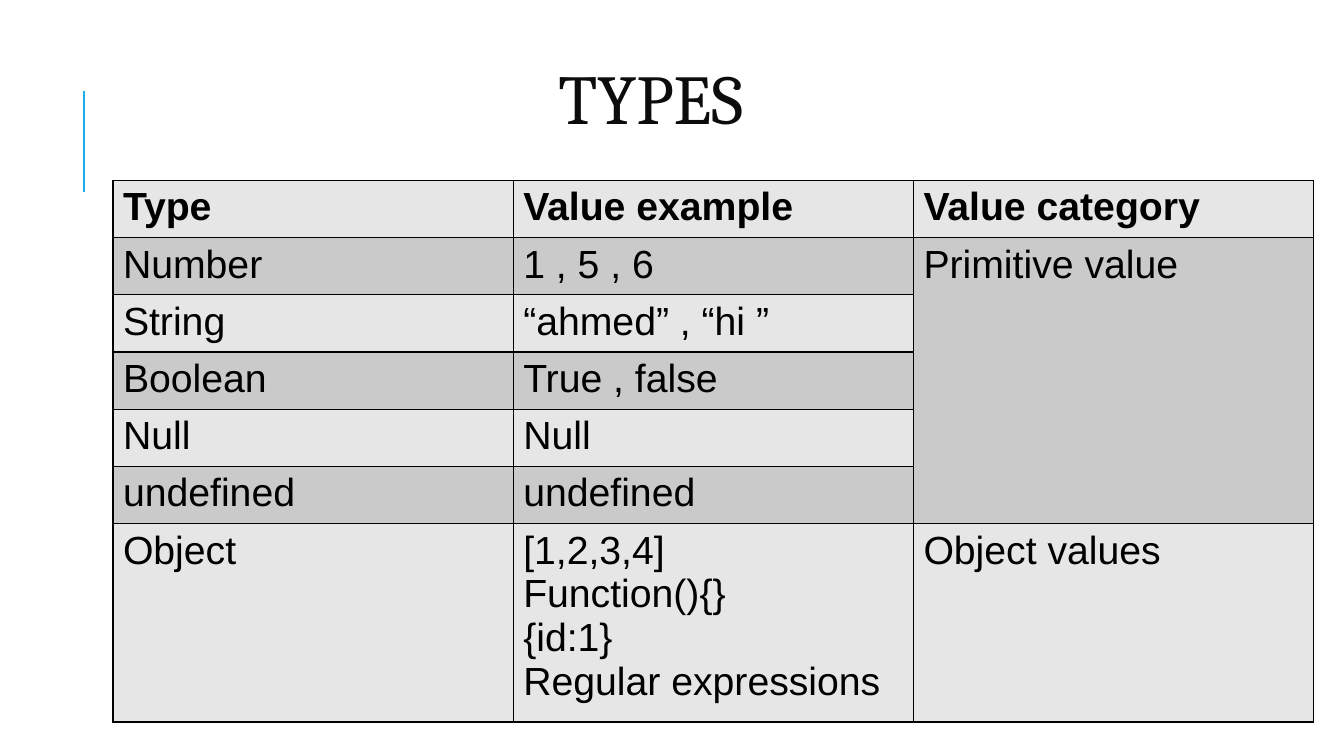
from lxml import etree
from pptx import Presentation
from pptx import util as u
from pptx.dml.color import RGBColor
from pptx.enum import shapes, text
from pptx.oxml.ns import qn

PX = 9144


def px(length):
    return u.Emu(length * PX)


def colour(value):
    return RGBColor.from_string(value)


class TypesSlide:
    ink = "000000"
    title_ink = "0C0C0C"
    accent = "1CADE4"
    bands = ("E6E6E6", "CACACA")
    title_font = "Cambria"
    body_font = "Arial"

    def __init__(self, deck):
        self.slide = deck.slides.add_slide(deck.slide_layouts[6])

    def format_runs(self, frame, font, size, ink, bold=False):
        for paragraph in frame.paragraphs:
            for run in paragraph.runs:
                run.font.name = font
                run.font.size = u.Pt(size)
                run.font.bold = bold
                run.font.color.rgb = colour(ink)

    def rule(self, x, top, bottom):
        line = self.slide.shapes.add_connector(
            shapes.MSO_CONNECTOR.STRAIGHT, px(x), px(bottom), px(x), px(top))
        line.line.color.rgb = colour(self.accent)
        line.line.width = u.Pt(1.5)
        etree.SubElement(line._element.spPr, qn("a:effectLst"))

    def title(self, wording, left, top, width, height):
        box = self.slide.shapes.add_textbox(px(left), px(top), px(width), px(height))
        frame = box.text_frame
        frame.word_wrap = True
        frame.vertical_anchor = text.MSO_ANCHOR.MIDDLE
        frame.text = wording
        heading = frame.paragraphs[0]
        heading.alignment = text.PP_ALIGN.CENTER
        heading.line_spacing = 0.8
        self.format_runs(frame, self.title_font, 50, self.title_ink)

    def border(self, cell):
        properties = cell._tc.get_or_add_tcPr()
        for position, side in enumerate(("a:lnL", "a:lnR", "a:lnT", "a:lnB")):
            edge = etree.Element(qn(side), w=str(u.Pt(1)))
            fill = etree.SubElement(edge, qn("a:solidFill"))
            etree.SubElement(fill, qn("a:srgbClr"), val=self.ink)
            properties.insert(position, edge)

    def table(self, rows, left, top, column_width, row_heights):
        frame = self.slide.shapes.add_table(
            len(rows), len(rows[0]), px(left), px(top),
            px(column_width * len(rows[0])), px(sum(row_heights)))
        grid = frame.table
        for column in grid.columns:
            column.width = px(column_width)
        for number, (row, height) in enumerate(zip(rows, row_heights)):
            grid.rows[number].height = px(height)
            for cell, wording in zip(grid.rows[number].cells, row):
                cell.text_frame.text = wording
                cell.fill.solid()
                cell.fill.fore_color.rgb = colour(self.bands[number % 2])
                self.format_runs(cell.text_frame, self.body_font, 28, self.ink, number == 0)
                self.border(cell)
        return grid


def main():
    deck = Presentation()
    deck.slide_width = px(1333)
    deck.slide_height = px(750)
    page = TypesSlide(deck)
    page.rule(83, 90, 190)
    page.title("TYPES", 114, 22, 1063, 164)
    value_types = [
        ("Type", "Value example", "Value category"),
        ("Number", "1 , 5 , 6", "Primitive value"),
        ("String", "“ahmed” , “hi ”", ""),
        ("Boolean", "True , false", ""),
        ("Null", "Null", ""),
        ("undefined", "undefined", ""),
        ("Object", "[1,2,3,4]\nFunction(){}\n{id:1}\nRegular expressions", "Object values"),
    ]
    grid = page.table(value_types, 112, 179, 397, [51] * 6 + [175])
    grid.cell(1, 2).merge(grid.cell(5, 2))
    deck.save("out.pptx")


if __name__ == "__main__":
    main()
